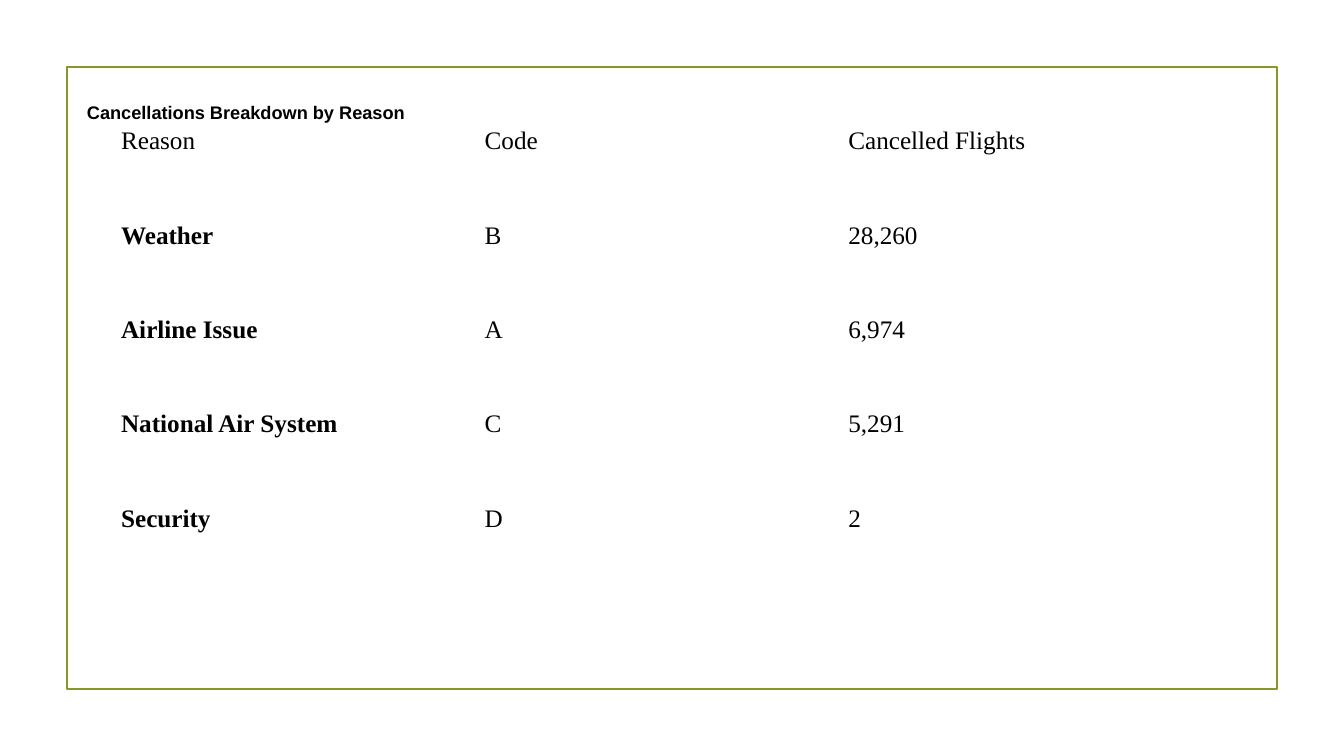
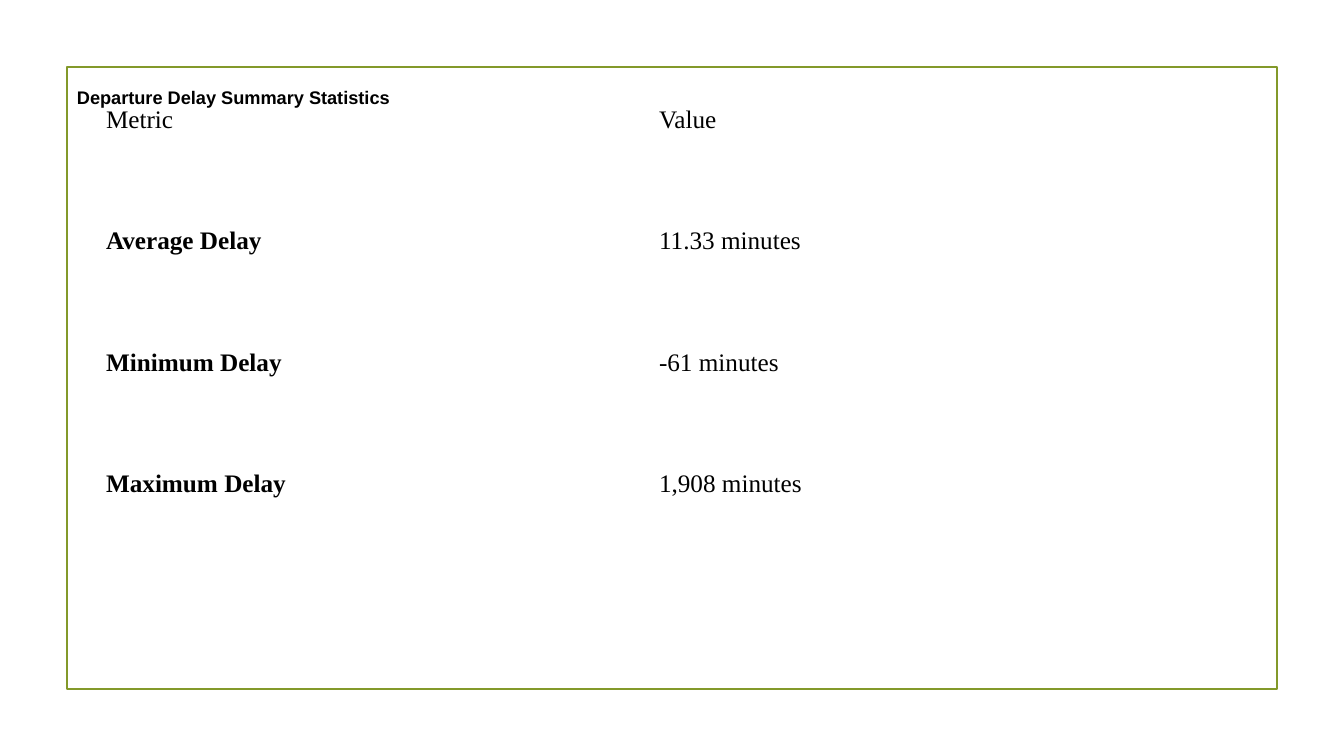
from dataclasses import dataclass

from pptx import Presentation
from pptx.dml.color import RGBColor
from pptx.enum.shapes import MSO_SHAPE
from pptx.enum.text import MSO_ANCHOR
from pptx.oxml.ns import qn
from pptx.util import Pt

RECT = MSO_SHAPE.RECTANGLE
TOP, MIDDLE = MSO_ANCHOR.TOP, MSO_ANCHOR.MIDDLE
PLAIN_TABLE = "{2D5ABB26-0587-4C30-8999-92F81FD0307C}"
SLIDE_W, SLIDE_H = 1344, 756
EMU_PER_PX = 12192000 / SLIDE_W
FRAME_BOX = (67, 67, 1210, 622)


@dataclass(frozen=True)
class Theme:
    ink: RGBColor = RGBColor(0x00, 0x00, 0x00)
    accent: RGBColor = RGBColor(0x83, 0x99, 0x2A)
    title_font: str = "Arial"
    body_font: str = "Times New Roman"
    title_size: Pt = Pt(13)
    body_size: Pt = Pt(18)
    frame_width: Pt = Pt(1.25)


THEME = Theme()

SLIDES = [
    {
        "title": "Cancellations Breakdown by Reason",
        "title_box": (77, 94, 583, 62),
        "table_box": (111, 94, 1091, 472),
        "rows": [
            ("Reason", "Code", "Cancelled Flights"),
            ("Weather", "B", "28,260"),
            ("Airline Issue", "A", "6,974"),
            ("National Air System", "C", "5,291"),
            ("Security", "D", "2"),
        ],
    },
    {
        "title": "Departure Delay Summary Statistics",
        "title_box": (67, 79, 393, 62),
        "table_box": (96, 59, 1106, 486),
        "rows": [
            ("Metric", "Value"),
            ("Average Delay", "11.33 minutes"),
            ("Minimum Delay", "-61 minutes"),
            ("Maximum Delay", "1,908 minutes"),
        ],
    },
]


def px(n):
    return round(n * EMU_PER_PX)


def emu(box):
    return [px(n) for n in box]


def set_text(tf, text, font, size, bold):
    p = tf.paragraphs[0]
    p.text = text
    p.font.name = font
    p.font.size = size
    p.font.bold = bold
    p.font.color.rgb = THEME.ink


def add_frame(s, box):
    sp = s.shapes.add_shape(RECT, *emu(box))
    sp.shadow.inherit = False
    sp.fill.background()
    sp.line.color.rgb = THEME.accent
    sp.line.width = THEME.frame_width


def add_title(s, box, text):
    tf = s.shapes.add_textbox(*emu(box)).text_frame
    tf.word_wrap = True
    tf.vertical_anchor = TOP
    tf.margin_top = px(7)
    set_text(tf, text, THEME.title_font, THEME.title_size, True)


def add_data_table(s, box, rows):
    """Fill the box with equal rows and columns; row labels are bold."""
    left, top, width, height = emu(box)
    n_rows, n_cols = len(rows), len(rows[0])
    table = s.shapes.add_table(n_rows, n_cols, left, top, width, height).table
    table.first_row = table.horz_banding = False
    table._tbl.tblPr.find(qn("a:tableStyleId")).text = PLAIN_TABLE
    for i, row in enumerate(rows):
        for j, text in enumerate(row):
            cell = table.cell(i, j)
            cell.fill.background()
            cell.vertical_anchor = MIDDLE
            set_text(cell.text_frame, text, THEME.body_font, THEME.body_size,
                     i > 0 and j == 0)


def add_table_slide(prs, title, title_box, table_box, rows):
    s = prs.slides.add_slide(prs.slide_layouts[6])
    add_frame(s, FRAME_BOX)
    add_data_table(s, table_box, rows)
    add_title(s, title_box, title)


def main():
    prs = Presentation()
    prs.slide_width, prs.slide_height = px(SLIDE_W), px(SLIDE_H)
    for content in SLIDES:
        add_table_slide(prs, **content)
    prs.save("out.pptx")


if __name__ == "__main__":
    main()
